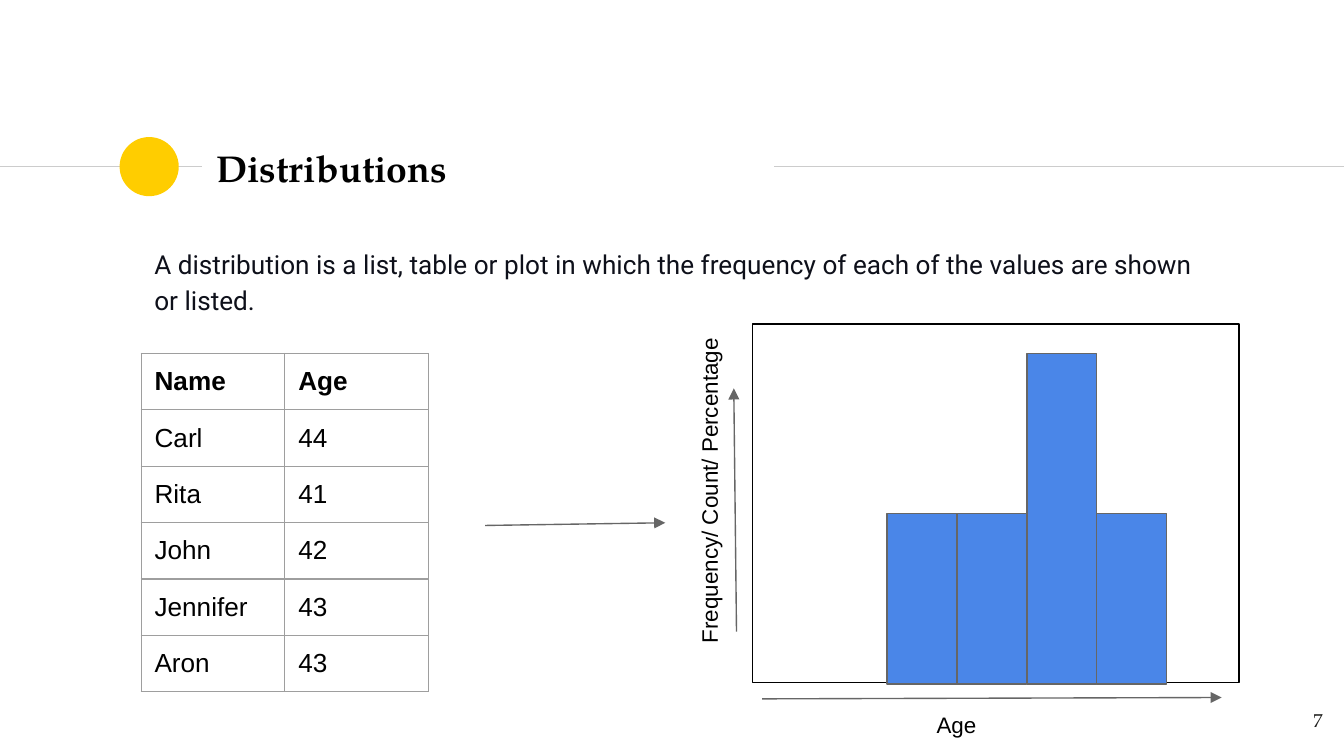
from typing import NamedTuple

from lxml.etree import SubElement
from pptx import Presentation
from pptx.dml.color import RGBColor
from pptx.enum.shapes import MSO_CONNECTOR, MSO_SHAPE
from pptx.enum.text import MSO_ANCHOR, PP_ALIGN
from pptx.oxml.ns import qn
from pptx.util import Inches, Pt

SERIF, SANS, BODY = "TeX Gyre Pagella", "Arial", "Roboto"
GREY, BLUE, RULE = "666666", "4A86E8", "CCCCCC"


class Box(NamedTuple):
    left: float
    top: float
    width: float
    height: float


class Font(NamedTuple):
    name: str
    size: float
    color: str = "000000"
    bold: bool = False


class Line(NamedTuple):
    x1: float
    y1: float
    x2: float
    y2: float
    color: str = GREY
    arrow: bool = True


class Label(NamedTuple):
    box: Box
    text: str
    font: Font
    align: PP_ALIGN = PP_ALIGN.LEFT
    anchor: MSO_ANCHOR = MSO_ANCHOR.TOP
    turn: float = 0
    space: float = 1.0


def paint(target, color: str) -> None:
    """Give a fill, or the fill of a line, one solid colour."""
    target.solid()
    target.fore_color.rgb = RGBColor.from_string(color)


def write(para, text: str, font: Font) -> None:
    run = para.add_run()
    run.text = text
    run.font.name = font.name
    run.font.size = Pt(font.size)
    run.font.bold = font.bold
    run.font.color.rgb = RGBColor.from_string(font.color)


def pad(frame, bottom: float = 0.1) -> None:
    frame.margin_left = frame.margin_right = frame.margin_top = Inches(0.1)
    frame.margin_bottom = Inches(bottom)


def add_label(slide, label: Label) -> None:
    shape = slide.shapes.add_textbox(*map(Inches, label.box))
    shape.rotation = label.turn
    frame = shape.text_frame
    frame.word_wrap = True
    frame.vertical_anchor = label.anchor
    pad(frame)
    para = frame.paragraphs[0]
    para.alignment = label.align
    para.line_spacing = label.space
    write(para, label.text, label.font)


def add_line(slide, line: Line) -> None:
    ends = map(Inches, line[:4])
    shape = slide.shapes.add_connector(MSO_CONNECTOR.STRAIGHT, *ends)
    shape.line.width = Pt(0.75)
    paint(shape.line.fill, line.color)
    props = shape._element.spPr
    if line.arrow:
        SubElement(props.find(qn("a:ln")), qn("a:tailEnd"), type="triangle")
    SubElement(props, qn("a:effectLst"))


def add_form(slide, kind: MSO_SHAPE, box: Box, fill: str = "", edge: str = "") -> None:
    shape = slide.shapes.add_shape(kind, *map(Inches, box))
    shape.shadow.inherit = False
    if fill:
        paint(shape.fill, fill)
    else:
        shape.fill.background()
    if edge:
        paint(shape.line.fill, edge)
        shape.line.width = Pt(0.75)
    else:
        shape.line.fill.background()


def add_edges(cell, color: str) -> None:
    props = cell._tc.get_or_add_tcPr()
    for side in ("lnL", "lnR", "lnT", "lnB"):
        edge = SubElement(props, qn(f"a:{side}"), w=str(Pt(0.75)))
        fill = SubElement(edge, qn("a:solidFill"))
        SubElement(fill, qn("a:srgbClr"), val=color)


def add_grid(slide, left: float, top: float, wide: float, high: float,
             rows: list[tuple[str, ...]]) -> None:
    count = len(rows[0])
    size = Box(left, top, wide * count, high * len(rows))
    table = slide.shapes.add_table(len(rows), count, *map(Inches, size)).table
    table.horz_banding = False
    for col in table.columns:
        col.width = Inches(wide)
    for r, row in enumerate(rows):
        table.rows[r].height = Inches(high)
        for c, text in enumerate(row):
            cell = table.cell(r, c)
            add_edges(cell, "9E9E9E")
            cell.fill.background()
            # A smaller bottom margin keeps the row at its height
            pad(cell, 0.08)
            write(cell.text_frame.paragraphs[0], text, Font(SANS, 14, bold=r == 0))


def main() -> None:
    # Wide slide, 16 to 9
    deck = Presentation()
    deck.slide_width = Inches(10)
    deck.slide_height = Inches(10 * 9 / 16)
    slide = deck.slides.add_slide(deck.slide_layouts[6])

    # Header rule, dot and title
    add_line(slide, Line(0, 1.24, 1.5, 1.24, RULE, False))
    add_form(slide, MSO_SHAPE.OVAL, Box(0.89, 1.02, 0.44, 0.44), "FFCD00")
    add_line(slide, Line(5.76, 1.24, 10, 1.24, RULE, False))
    add_label(slide, Label(Box(1.51, 1.01, 4.24, 0.48), "Distributions",
                           Font(SERIF, 20, bold=True), anchor=MSO_ANCHOR.MIDDLE))

    # Page number and definition
    add_label(slide, Label(Box(9.34, 5.19, 0.6, 0.43), "7",
                           Font(SERIF, 10, "1D1D1B"), PP_ALIGN.RIGHT))
    add_label(slide, Label(
        Box(1.05, 1.71, 8.04, 0.72),
        "A distribution is a list, table or plot in which the frequency "
        "of each of the values are shown or listed.",
        Font(BODY, 14, "0E101A"), space=1.15))

    # Table of ages
    add_grid(slide, 1.05, 2.63, 1.07, 0.42, [
        ("Name", "Age"), ("Carl", "44"), ("Rita", "41"),
        ("John", "42"), ("Jennifer", "43"), ("Aron", "43")])

    # Histogram: frame and touching bars on one base line
    add_form(slide, MSO_SHAPE.RECTANGLE, Box(5.6, 2.41, 3.62, 2.67), edge="000000")
    base, wide = 5.09, 0.52
    for i, high in enumerate((1.27, 1.27, 2.46, 1.27)):
        bar = Box(6.6 + i * wide, base - high, wide, high)
        add_form(slide, MSO_SHAPE.RECTANGLE, bar, BLUE, GREY)

    # Arrows: table to plot, then both axes
    for line in (Line(3.61, 3.91, 4.95, 3.89),
                 Line(5.48, 4.7, 5.46, 2.89),
                 Line(5.67, 5.2, 9.09, 5.19)):
        add_line(slide, line)

    # Axis names
    small = Font(SANS, 12)
    add_label(slide, Label(Box(3.89, 3.32, 2.75, 0.38),
                           "Frequency/ Count/ Percentage", small, turn=270))
    add_label(slide, Label(Box(6.87, 5.19, 1.92, 0.38), "Age", small))

    deck.save("out.pptx")


if __name__ == "__main__":
    main()
